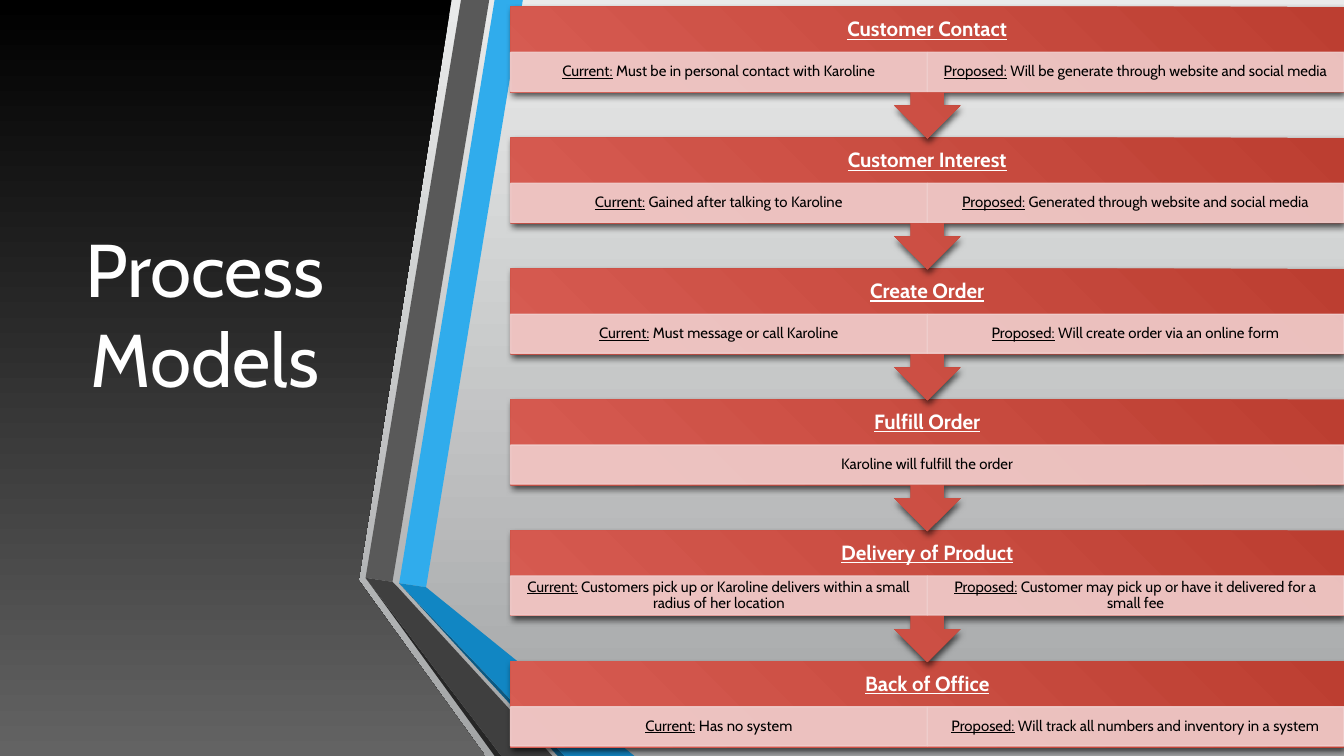
"""Build the Process Models slide comparing current and proposed steps."""
from lxml.etree import SubElement
from pptx import Presentation
from pptx.dml.color import RGBColor
from pptx.enum.shapes import MSO_SHAPE
from pptx.enum.text import MSO_ANCHOR, PP_ALIGN
from pptx.oxml.ns import qn
from pptx.util import Inches, Pt

FONT = "Cabin"
WHITE = RGBColor(0xFF, 0xFF, 0xFF)
BLACK = RGBColor(0x00, 0x00, 0x00)
SILVER = RGBColor(0xE9, 0xEA, 0xEA)
STEEL = RGBColor(0xA3, 0xA5, 0xA6)
PANEL_GRAY = RGBColor(0x63, 0x63, 0x63)
SKY = RGBColor(0x30, 0xAC, 0xEC)
BLUE = RGBColor(0x11, 0x86, 0xC3)
NAVY = RGBColor(0x0B, 0x59, 0x82)
GRAY = RGBColor(0x59, 0x59, 0x59)
CHARCOAL = RGBColor(0x3F, 0x3F, 0x3F)
INK = RGBColor(0x26, 0x26, 0x26)
CORAL = RGBColor(0xD8, 0x5D, 0x53)
BRICK = RGBColor(0xBC, 0x3E, 0x31)
PINK = RGBColor(0xF0, 0xCE, 0xCD)

SLIDE_W = 10
SLIDE_H = SLIDE_W * 9 / 16
LEFT, TOP, PITCH = 3.8, 0.05, 0.974
WIDTH = SLIDE_W - LEFT
CALLOUT_H, LAST_H, HEAD_H, CELL_H = 0.98, 0.64, 0.35, 0.29

PANEL = [(0, 0), (3.36, 0), (2.67, 4.31), (2.67, 4.32), (3.61, SLIDE_H), (0, SLIDE_H)]
RIBBONS = [
    (SKY, [(2.97, 4.34), (3.17, 4.37), (3.89, 0), (3.68, 0)]),
    (GRAY, [(3.64, 0), (3.43, 0), (2.72, 4.3), (2.92, 4.33)]),
    (INK, [(2.72, 4.3), (3.68, SLIDE_H), (3.73, SLIDE_H)]),
    (NAVY, [(2.97, 4.34), (4.15, SLIDE_H), (4.2, SLIDE_H)]),
    (BLUE, [(2.97, 4.34), (4.2, SLIDE_H), (4.72, SLIDE_H), (3.17, 4.37)]),
    (CHARCOAL, [(4.11, SLIDE_H), (2.96, 4.37), (2.92, 4.33), (2.72, 4.3), (3.73, SLIDE_H)]),
]
STEPS = [
    ("Customer Contact", [
        ("Current:", " Must be in personal contact with Karoline"),
        ("Proposed:", " Will be generate through website and social media")]),
    ("Customer Interest", [
        ("Current:", " Gained after talking to Karoline"),
        ("Proposed:", " Generated through website and social media")]),
    ("Create Order", [
        ("Current:", " Must message or call Karoline"),
        ("Proposed:", " Will create order via an online form")]),
    ("Fulfill Order", [("", "Karoline will fulfill the order")]),
    ("Delivery of Product", [
        ("Current:", " Customers pick up or Karoline delivers within a small radius of her location"),
        ("Proposed:", " Customer may pick up or have it delivered for a small fee")]),
    ("Back of Office", [
        ("Current:", " Has no system"),
        ("Proposed:", " Will track all numbers and inventory in a system")]),
]


def set_gradient(fill, start, end):
    """Fill from start at the top to end at the bottom."""
    fill.gradient()
    fill.gradient_angle = 270
    for stop, color, position in zip(fill.gradient_stops, (start, end), (0, 1)):
        stop.color.rgb = color
        stop.position = position


def set_corner_gradient(sp):
    """Turn the gradient of a shape into one that spreads from the lower left."""
    set_gradient(sp.fill, CORAL, BRICK)
    grad = sp._element.spPr.find(qn("a:gradFill"))
    grad.set("rotWithShape", "0")
    grad.remove(grad.find(qn("a:lin")))
    circle = SubElement(grad, qn("a:path"), {"path": "circle"})
    SubElement(circle, qn("a:fillToRect"), {"t": "100000", "r": "100000"})


def add_shadow(sp):
    """Give a shape a soft shadow below it."""
    sp.shadow.inherit = False
    effects = sp._element.spPr.find(qn("a:effectLst"))
    outer = SubElement(effects, qn("a:outerShdw"), {
        "blurRad": str(Pt(3)), "dist": str(Pt(2)), "dir": "5400000", "rotWithShape": "0"})
    color = SubElement(outer, qn("a:srgbClr"), {"val": str(BLACK)})
    SubElement(color, qn("a:alpha"), {"val": "64000"})


def add_outline(s, points):
    """Add a closed freeform without line or shadow."""
    start, *rest = [(Inches(x), Inches(y)) for x, y in points]
    builder = s.shapes.build_freeform(*start)
    builder.add_line_segments(rest, close=True)
    sp = builder.convert_to_shape()
    sp.line.fill.background()
    sp.shadow.inherit = False
    return sp


def set_text(sp, parts, size, color, margins, bold=False, spacing=None):
    """Write centred runs, given as pairs of text and underline."""
    tf = sp.text_frame
    tf.word_wrap = True
    tf.vertical_anchor = MSO_ANCHOR.MIDDLE
    tf.margin_left = tf.margin_right = Inches(margins[0])
    tf.margin_top = tf.margin_bottom = Inches(margins[1])
    p = tf.paragraphs[0]
    p.alignment = PP_ALIGN.CENTER
    p.line_spacing = spacing
    for text, underline in parts:
        r = p.add_run()
        r.text = text
        r.font.name = FONT
        r.font.size = Pt(size)
        r.font.bold = bold
        r.font.underline = underline
        r.font.color.rgb = color


def add_cell(s, left, top, width, label, text):
    """Add a pale box with an underlined label and its text."""
    sp = s.shapes.add_shape(MSO_SHAPE.RECTANGLE, Inches(left), Inches(top),
                            Inches(width), Inches(CELL_H))
    sp.shadow.inherit = False
    sp.fill.solid()
    sp.fill.fore_color.rgb = PINK
    sp.line.color.rgb = PINK
    sp.line.width = Pt(0.75)
    for color in sp._element.spPr.iter(qn("a:srgbClr")):
        SubElement(color, qn("a:alpha"), {"val": "90000"})
    parts = [(label, True), (text, False)] if label else [(text, False)]
    set_text(sp, parts, 8, BLACK, (0.07, 0.01), spacing=0.9)


def add_step(s, top, heading, cells, is_last):
    """Add one process step, with an arrow to the next unless it is the last."""
    kind = MSO_SHAPE.RECTANGLE if is_last else MSO_SHAPE.UP_ARROW_CALLOUT
    height = LAST_H if is_last else CALLOUT_H
    sp = s.shapes.add_shape(kind, Inches(LEFT), Inches(top), Inches(WIDTH), Inches(height))
    if not is_last:
        sp.rotation = 180
        for i, value in enumerate((0.25, 0.25, 0.25, 0.65)):
            sp.adjustments[i] = value
    set_corner_gradient(sp)
    sp.line.fill.background()
    add_shadow(sp)
    title = s.shapes.add_textbox(Inches(LEFT), Inches(top), Inches(WIDTH), Inches(HEAD_H))
    set_text(title, [(heading, True)], 11, WHITE, (0.09, 0.09), bold=True, spacing=0.9)
    width = WIDTH / len(cells)
    for i, (label, text) in enumerate(cells):
        add_cell(s, LEFT + i * width, top + 0.34, width, label, text)


def add_title(s):
    """Add the slide title on the dark panel."""
    sp = s.shapes.add_textbox(Inches(0.44), Inches(0.56), Inches(2.17), Inches(3.53))
    set_text(sp, [("Process Models", False)], 40, WHITE, (0.1, 0.05))


def main():
    """Build and save the slide."""
    prs = Presentation()
    prs.slide_width, prs.slide_height = Inches(SLIDE_W), Inches(SLIDE_H)
    s = prs.slides.add_slide(prs.slide_layouts[6])
    set_gradient(s.background.fill, SILVER, STEEL)
    set_gradient(add_outline(s, PANEL).fill, BLACK, PANEL_GRAY)
    add_title(s)
    for color, points in RIBBONS:
        sp = add_outline(s, points)
        sp.fill.solid()
        sp.fill.fore_color.rgb = color
    last = len(STEPS) - 1
    for i, (heading, cells) in reversed(list(enumerate(STEPS))):
        add_step(s, TOP + i * PITCH, heading, cells, i == last)
    prs.save("out.pptx")


if __name__ == "__main__":
    main()
